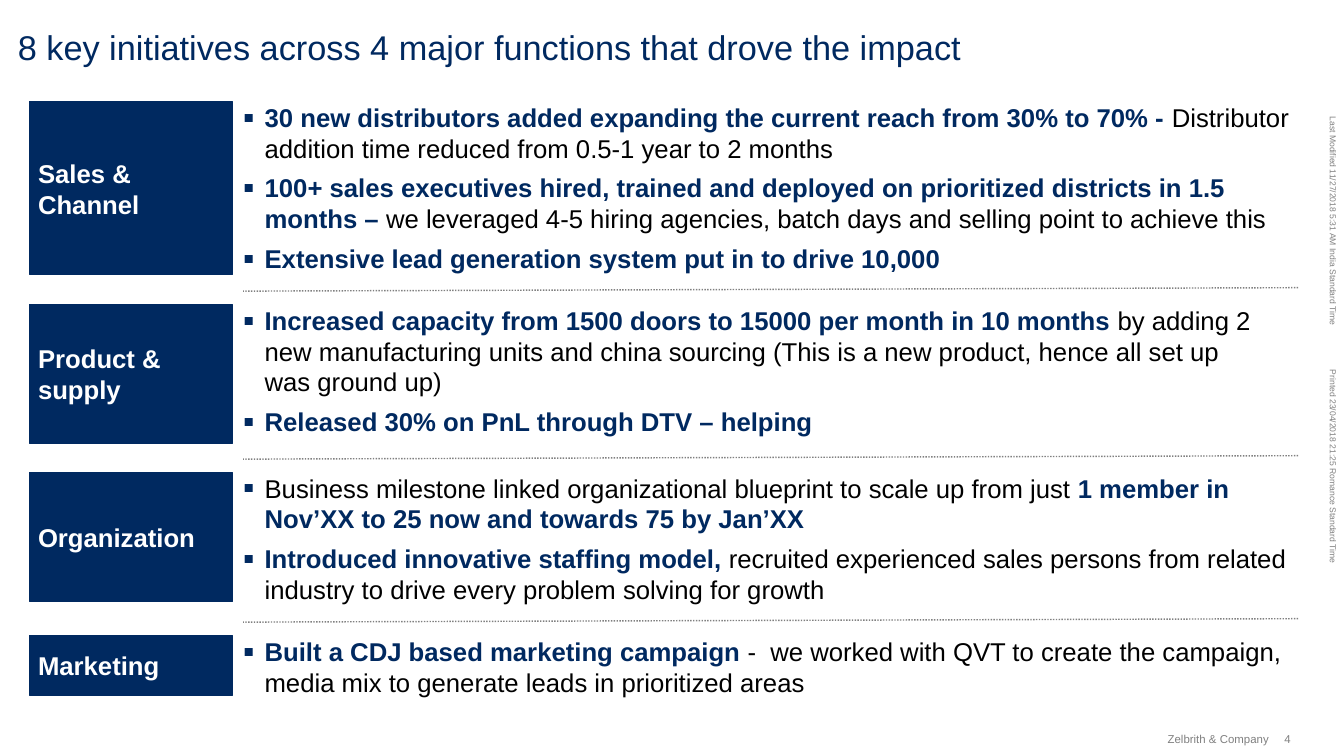
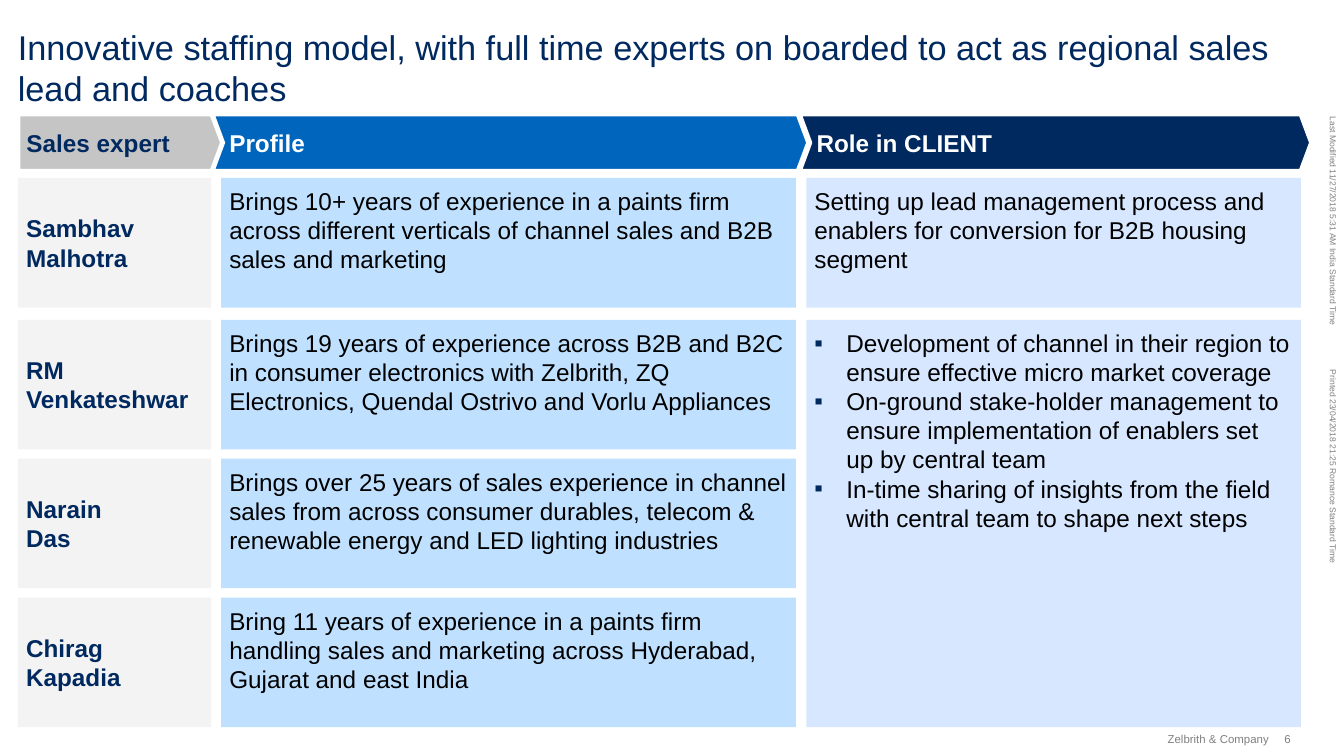
"""Build two slides on sales initiatives and the staffing model."""
import lxml.etree
import pptx
import pptx.dml.color
import pptx.enum.dml
import pptx.enum.shapes
import pptx.enum.text
import pptx.oxml.ns
import pptx.util

Pt = pptx.util.Pt
RGBColor = pptx.dml.color.RGBColor
qn = pptx.oxml.ns.qn
ANCHOR = pptx.enum.text.MSO_ANCHOR
ALIGN = pptx.enum.text.PP_ALIGN

FONT = "Arial"
NAVY = RGBColor(0x00, 0x29, 0x60)
BLUE = RGBColor(0x00, 0x65, 0xBD)
SKY = RGBColor(0xBF, 0xE1, 0xFF)
PALE_BLUE = RGBColor(0xD6, 0xE7, 0xFF)
SILVER = RGBColor(0xC5, 0xC5, 0xC5)
LIGHT_GRAY = RGBColor(0xF3, 0xF3, 0xF3)
GRAY = RGBColor(0x80, 0x80, 0x80)
WHITE = RGBColor(0xFF, 0xFF, 0xFF)
BLACK = RGBColor(0x00, 0x00, 0x00)

MARGINS = ("margin_left", "margin_top", "margin_right", "margin_bottom")
NO_INSET = dict.fromkeys(MARGINS, 0)
CELL_INSET = dict.fromkeys(MARGINS, Pt(5.76))
MIDDLE = {"vertical_anchor": ANCHOR.MIDDLE}
TOP = {"vertical_anchor": ANCHOR.TOP}

INITIATIVE_BULLET = {"indent": 15.1, "size": 125}
ROLE_BULLET = {"indent": 22.3, "size": 100}
INITIATIVE_SIZE = 18
EXPERT_SIZE = 17

LABEL_LEFT, LABEL_WIDTH = 20.9, 141.8
DETAIL_LEFT, DETAIL_WIDTH = 170.2, 738.7
SEPARATOR_GAP, SEPARATOR_RISE = 10.5, 1.2

COLUMNS = {"name": (12.5, 135.4), "profile": (154.8, 402.5), "role": (564.5, 346.3)}
FIRST_ROW_TOP, REGION_TOP = 124.6, 223.9
ROW_HEIGHT, ROW_PITCH = 90.7, 97.2
HEADER_TOP, HEADER_HEIGHT, HEADER_TIP = 80.8, 38.2, 7.1


def strong(text):
    """Return a bold navy run."""
    return text, NAVY, True


def plain(text):
    """Return a regular black run."""
    return text, BLACK, False


INITIATIVES = [
    ("Sales & Channel", 71.3, 121, [
        [strong("30 new distributors added expanding the current reach from 30% to 70% - "),
         plain("Distributor addition time reduced from 0.5-1 year to 2 months")],
        [strong("100+ sales executives hired, trained and deployed on prioritized "
                "districts in 1.5 months – "),
         plain("we leveraged 4-5 hiring agencies, batch days and selling point to achieve this")],
        [strong("Extensive lead generation system put in to drive 10,000")]]),
    ("Product & supply", 213.1, 97.2, [
        [strong("Increased capacity from 1500 doors to 15000 per month in 10 months "),
         plain("by adding 2 new manufacturing units and china sourcing (This is a new "
               "product, hence all set up\nwas ground up)")],
        [strong("Released 30% on PnL through DTV – helping")]]),
    ("Organization", 330.7, 90.7, [
        [plain("Business milestone linked organizational blueprint to scale up from just "),
         strong("1 member in Nov’XX to 25 now and towards 75 by Jan’XX")],
        [strong("Introduced innovative staffing model, "),
         plain("recruited experienced sales persons from related industry to drive every "
               "problem solving for growth")]]),
    ("Marketing", 444.8, 41.8, [
        [strong("Built a CDJ based marketing campaign "),
         plain("-  we worked with QVT to create the campaign, media mix to generate "
               "leads in prioritized areas")]]),
]

HEADERS = [
    ("Sales expert", 13.5, 154.8, 0, 5, SILVER, NAVY),
    ("Profile", 149.8, 565.2, HEADER_TIP, 10.8, BLUE, WHITE),
    ("Role in CLIENT", 560.9, 917.3, HEADER_TIP, 10.8, NAVY, WHITE),
]

EXPERTS = [
    ("Sambhav\nMalhotra", "Brings 10+ years of experience in a paints firm across different "
     "verticals of channel sales and B2B sales and marketing"),
    ("RM\nVenkateshwar", "Brings 19 years of experience across B2B and B2C in consumer "
     "electronics with Zelbrith, ZQ Electronics, Quendal Ostrivo and Vorlu Appliances"),
    ("Narain\nDas", "Brings over 25 years of sales experience in channel sales from across "
     "consumer durables, telecom & renewable energy and LED lighting industries"),
    ("Chirag\nKapadia", "Bring 11 years of experience in a paints firm handling sales and "
     "marketing across Hyderabad, Gujarat and east India"),
]

LEAD_ROLE = ("Setting up lead management process and enablers for conversion for "
             "B2B housing segment")
REGION_ROLES = [
    "Development of channel in their region to ensure effective micro market coverage",
    "On-ground stake-holder management to ensure implementation of enablers set up by "
    "central team",
    "In-time sharing of insights from the field with central team to shape next steps",
]


def set_values(target, values):
    """Set attributes of an object from a dict."""
    for name, value in values.items():
        setattr(target, name, value)


def add_bullet(paragraph, indent, size):
    """Give a paragraph a hanging square bullet."""
    properties = paragraph._p.get_or_add_pPr()
    properties.set("marL", str(Pt(indent)))
    properties.set("indent", str(-Pt(indent)))
    colour = lxml.etree.SubElement(properties, qn("a:buClr"))
    lxml.etree.SubElement(colour, qn("a:srgbClr"), val=str(NAVY))
    lxml.etree.SubElement(properties, qn("a:buSzPct"), val=str(size * 1000))
    lxml.etree.SubElement(properties, qn("a:buFont"), typeface=FONT)
    lxml.etree.SubElement(properties, qn("a:buChar"), char="▪")


def write_text(shape, paragraphs, size, frame_values, bullet=None, space=0, align=ALIGN.LEFT):
    """Fill a shape with paragraphs made of (text, colour, bold) runs."""
    frame = shape.text_frame
    set_values(frame, {"word_wrap": True, **frame_values})
    for index, runs in enumerate(paragraphs):
        paragraph = frame.add_paragraph() if index else frame.paragraphs[0]
        set_values(paragraph, {"alignment": align, "space_before": Pt(space if index else 0)})
        if bullet:
            add_bullet(paragraph, **bullet)
        for text, colour, bold in runs:
            for line_index, line in enumerate(text.split("\n")):
                if line_index:
                    paragraph.add_line_break()
                run = paragraph.add_run()
                run.text = line
                set_values(run.font, {"name": FONT, "size": Pt(size), "bold": bold})
                run.font.color.rgb = colour


def add_text(slide, bounds, paragraphs, size, frame_values=None, **options):
    """Add a text box without insets."""
    box = slide.shapes.add_textbox(*map(Pt, bounds))
    write_text(box, paragraphs, size, {**NO_INSET, **(frame_values or {})}, **options)
    return box


def paint(shape, fill, line=None, width=0.75):
    """Set the fill and outline of a shape."""
    shape.shadow.inherit = False
    shape.fill.solid()
    shape.fill.fore_color.rgb = fill
    if line is None:
        shape.line.fill.background()
    else:
        shape.line.color.rgb = line
        shape.line.width = Pt(width)


def add_panel(slide, bounds, fill, paragraphs, size, anchor, line=None, bullet=None):
    """Add a filled rectangle with text."""
    panel = slide.shapes.add_shape(
        pptx.enum.shapes.MSO_SHAPE.RECTANGLE, *map(Pt, bounds))
    paint(panel, fill, line)
    write_text(panel, paragraphs, size, {**CELL_INSET, **anchor}, bullet=bullet)


def add_separator(slide, middle):
    """Add a dotted line between two initiatives."""
    line = slide.shapes.add_connector(
        pptx.enum.shapes.MSO_CONNECTOR.STRAIGHT,
        Pt(DETAIL_LEFT + DETAIL_WIDTH), Pt(middle - SEPARATOR_RISE),
        Pt(DETAIL_LEFT), Pt(middle + SEPARATOR_RISE))
    line.line.color.rgb = GRAY
    set_values(line.line, {"width": Pt(1),
                           "dash_style": pptx.enum.dml.MSO_LINE.ROUND_DOT})
    lxml.etree.SubElement(line._element.spPr, qn("a:effectLst"))


def add_header(slide, text, left, right, notch, inset, fill, colour):
    """Add a column header shaped as an arrow."""
    middle, bottom = HEADER_TOP + HEADER_HEIGHT / 2, HEADER_TOP + HEADER_HEIGHT
    points = [(right - HEADER_TIP, HEADER_TOP), (right, middle),
              (right - HEADER_TIP, bottom), (left, bottom), (left + notch, middle)]
    builder = slide.shapes.build_freeform(Pt(left), Pt(HEADER_TOP))
    builder.add_line_segments([(Pt(x), Pt(y)) for x, y in points], close=True)
    header = builder.convert_to_shape()
    paint(header, fill, WHITE, 1.5)
    write_text(header, [[(text, colour, True)]], EXPERT_SIZE,
               {**NO_INSET, **MIDDLE, "margin_left": Pt(inset)})


def add_base_slide(presentation, title, number):
    """Add a slide with the shared title, footer and side stamps."""
    slide = presentation.slides.add_slide(presentation.slide_layouts[6])
    stamps = [("Last Modified 11/27/2018 5:31 AM India Standard Time", 859, 152.6, 149),
              ("Printed 23/04/2018 21:25 Romance Standard Time", 864.7, 324, 137.5)]
    for text, left, top, width in stamps:
        stamp = add_text(slide, (left, top, width, 7.2), [[(text, GRAY, False)]], 6,
                         {"word_wrap": False})
        stamp.rotation = 90
    add_text(slide, (899.3, 512.6, 10, 9.4), [[(str(number), GRAY, False)]], 8, MIDDLE)
    add_text(slide, (780, 512.6, 108.5, 9.4), [[("Zelbrith & Company", GRAY, False)]], 8,
             MIDDLE, align=ALIGN.RIGHT)
    add_text(slide, (12.5, 18.4, 905, 58), [[(title, NAVY, False)]], 24)
    return slide


def build_initiatives(presentation):
    """Build the slide of initiatives by function."""
    slide = add_base_slide(
        presentation, "8 key initiatives across 4 major functions that drove the impact", 4)
    for index, (label, top, height, details) in enumerate(INITIATIVES):
        if index:
            add_separator(slide, top - SEPARATOR_GAP)
        add_panel(slide, (LABEL_LEFT, top, LABEL_WIDTH, height), NAVY,
                  [[(label, WHITE, True)]], INITIATIVE_SIZE, MIDDLE, line=NAVY)
        add_text(slide, (DETAIL_LEFT, top, DETAIL_WIDTH, height), details, INITIATIVE_SIZE,
                 bullet=INITIATIVE_BULLET, space=6)


def build_staffing(presentation):
    """Build the slide of sales experts and their roles."""
    slide = add_base_slide(
        presentation, "Innovative staffing model, with full time experts on boarded to act "
        "as regional sales lead and coaches", 6)
    for header in HEADERS:
        add_header(slide, *header)

    def add_cell(column, top, height, fill, paragraphs, anchor=TOP, bullet=None):
        """Add one cell of the expert grid."""
        left, width = COLUMNS[column]
        add_panel(slide, (left, top, width, height), fill, paragraphs, EXPERT_SIZE,
                  anchor, bullet=bullet)

    region_rows = len(EXPERTS) - 1
    tops = [FIRST_ROW_TOP] + [REGION_TOP + ROW_PITCH * row for row in range(region_rows)]
    for top, (name, profile) in zip(tops, EXPERTS):
        add_cell("name", top, ROW_HEIGHT, LIGHT_GRAY, [[strong(name)]], MIDDLE)
        add_cell("profile", top, ROW_HEIGHT, SKY, [[plain(profile)]])
    add_cell("role", FIRST_ROW_TOP, ROW_HEIGHT, PALE_BLUE, [[plain(LEAD_ROLE)]])
    add_cell("role", REGION_TOP, ROW_PITCH * (region_rows - 1) + ROW_HEIGHT, PALE_BLUE,
             [[plain(role)] for role in REGION_ROLES], bullet=ROLE_BULLET)


def main():
    """Build and save the presentation."""
    presentation = pptx.Presentation()
    set_values(presentation, {"slide_width": Pt(941), "slide_height": Pt(529.2)})
    build_initiatives(presentation)
    build_staffing(presentation)
    presentation.save("out.pptx")


if __name__ == "__main__":
    main()
